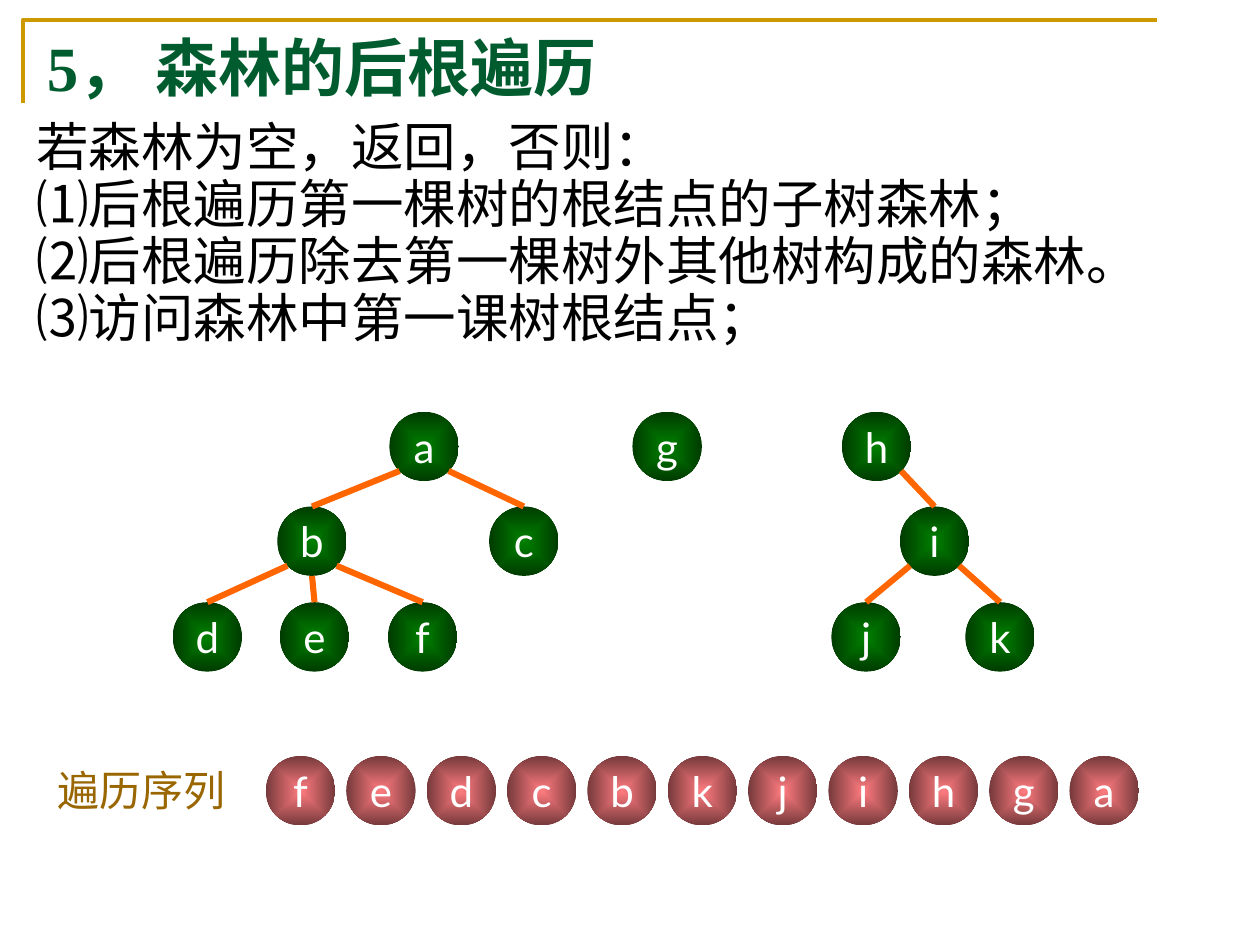
from math import sqrt

from lxml.etree import SubElement
from pptx import Presentation
from pptx.dml.color import RGBColor
from pptx.enum.shapes import MSO_CONNECTOR, MSO_SHAPE
from pptx.enum.text import MSO_ANCHOR, MSO_AUTO_SIZE, PP_ALIGN
from pptx.oxml.ns import qn
from pptx.util import Cm, Pt


def color(hex_string):
    return RGBColor.from_string(hex_string)


def write_text(text_frame, text, size=24, font="Lato", fill="FFFFFF", bold=False,
               align=PP_ALIGN.LEFT, anchor=MSO_ANCHOR.TOP, wrap=True,
               line_spacing=None, space_before=0):
    text_frame.text = text
    text_frame.word_wrap = wrap
    text_frame.auto_size = MSO_AUTO_SIZE.NONE
    text_frame.vertical_anchor = anchor
    for paragraph in text_frame.paragraphs:
        paragraph.alignment = align
        paragraph.line_spacing = line_spacing
        paragraph.space_before = Pt(space_before)
        for run in paragraph.runs:
            run.font.size = Pt(size)
            run.font.name = font
            run.font.bold = bold
            run.font.color.rgb = color(fill)


class ForestSlide:
    heading_font = "Times New Roman"
    frame_color = "CC9900"
    edge_color = "FF6600"
    tree_colors = ("008000", "003B00")
    sequence_colors = ("FF7C80", "76393B")
    node_size = 1.4

    def __init__(self, slide):
        self.slide = slide

    def frame(self, left, top, right, bottom):
        builder = self.slide.shapes.build_freeform(Cm(left), Cm(bottom))
        builder.add_line_segments([(Cm(left), Cm(top)), (Cm(right), Cm(top))], close=False)
        shape = builder.convert_to_shape()
        shape.shadow.inherit = False
        shape.fill.background()
        shape.line.color.rgb = color(self.frame_color)
        shape.line.width = Pt(2)

    def place(self, shape, left, top, width, height):
        shape.left, shape.top = Cm(left), Cm(top)
        shape.width, shape.height = Cm(width), Cm(height)

    def title(self, text, *box):
        shape = self.slide.shapes.title
        self.place(shape, *box)
        write_text(shape.text_frame, text, size=36, font=self.heading_font,
                   fill="005C2E", bold=True, anchor=MSO_ANCHOR.MIDDLE)

    def body(self, lines, *box):
        shape = self.slide.placeholders[1]
        self.place(shape, *box)
        write_text(shape.text_frame, "\n".join(lines), size=30, font=self.heading_font,
                   fill="000000", line_spacing=0.7, space_before=7.5)
        for paragraph in shape.text_frame.paragraphs:
            properties = paragraph._p.get_or_add_pPr()
            properties.set("marL", "0")
            properties.set("indent", "0")
            SubElement(properties, qn("a:buNone"))

    def label(self, text, *box):
        shape = self.slide.shapes.add_textbox(*map(Cm, box))
        write_text(shape.text_frame, text, fill="996600")

    def node(self, text, left, top, colors):
        size = Cm(self.node_size)
        shape = self.slide.shapes.add_shape(MSO_SHAPE.OVAL, Cm(left), Cm(top), size, size)
        shape.shadow.inherit = False
        shape.line.fill.background()
        shape.fill.gradient()
        for stop, position, hex_string in zip(shape.fill.gradient_stops, (0, 1), colors):
            stop.position = position
            stop.color.rgb = color(hex_string)
        gradient = shape._element.spPr.find(qn("a:gradFill"))
        gradient.remove(gradient.find(qn("a:lin")))
        shade = SubElement(gradient, qn("a:path"), path="rect")
        SubElement(shade, qn("a:fillToRect"), l="50000", t="50000", r="50000", b="50000")
        write_text(shape.text_frame, text, align=PP_ALIGN.CENTER,
                   anchor=MSO_ANCHOR.MIDDLE, wrap=False)

    def edge(self, parent, child):
        radius = self.node_size / 2
        diagonal = radius / sqrt(2)
        offset = child[0] - parent[0]
        if abs(offset) < 0.5:
            shift, drop = 0, radius
        else:
            shift, drop = (diagonal if offset > 0 else -diagonal), diagonal
        connector = self.slide.shapes.add_connector(
            MSO_CONNECTOR.STRAIGHT,
            Cm(parent[0] + radius + shift), Cm(parent[1] + radius + drop),
            Cm(child[0] + radius), Cm(child[1]))
        connector.line.color.rgb = color(self.edge_color)
        connector.line.width = Pt(3.5)
        SubElement(connector._element.spPr, qn("a:effectLst"))

    def forest(self, positions, edges):
        for name, position in positions.items():
            self.node(name, *position, self.tree_colors)
        for parent, child in edges:
            self.edge(positions[parent], positions[child])

    def sequence(self, names, left, top, pitch):
        for index, name in enumerate(names):
            self.node(name, left + index * pitch, top, self.sequence_colors)


def main():
    presentation = Presentation()
    presentation.slide_width, presentation.slide_height = Cm(25.4), Cm(19.05)
    page = ForestSlide(presentation.slides.add_slide(presentation.slide_layouts[1]))

    page.frame(0.46, 0.4, 23.32, 2.08)
    page.title("5， 森林的后根遍历", 0.69, 0.53, 22.02, 1.63)
    page.body([
        "若森林为空，返回，否则：",
        "⑴后根遍历第一棵树的根结点的子树森林；",
        "⑵后根遍历除去第一棵树外其他树构成的森林。",
        "⑶访问森林中第一课树根结点；",
    ], 0.48, 2.51, 24.21, 16)

    levels = {
        8.3: {"a": 7.85, "g": 12.75, "h": 16.97},
        10.21: {"b": 5.59, "c": 9.86, "i": 18.14},
        12.14: {"d": 3.48, "e": 5.64, "f": 7.82, "j": 16.76, "k": 19.46},
    }
    positions = {name: (left, top) for top, row in levels.items()
                 for name, left in row.items()}
    page.forest(positions, ["ab", "ac", "bd", "be", "bf", "hi", "ij", "ik"])

    page.label("遍历序列", 0.91, 15.29, 4.7, 1.27)
    page.sequence("fedcbkjihga", 5.36, 15.24, 1.62)
    presentation.save("out.pptx")


if __name__ == "__main__":
    main()
